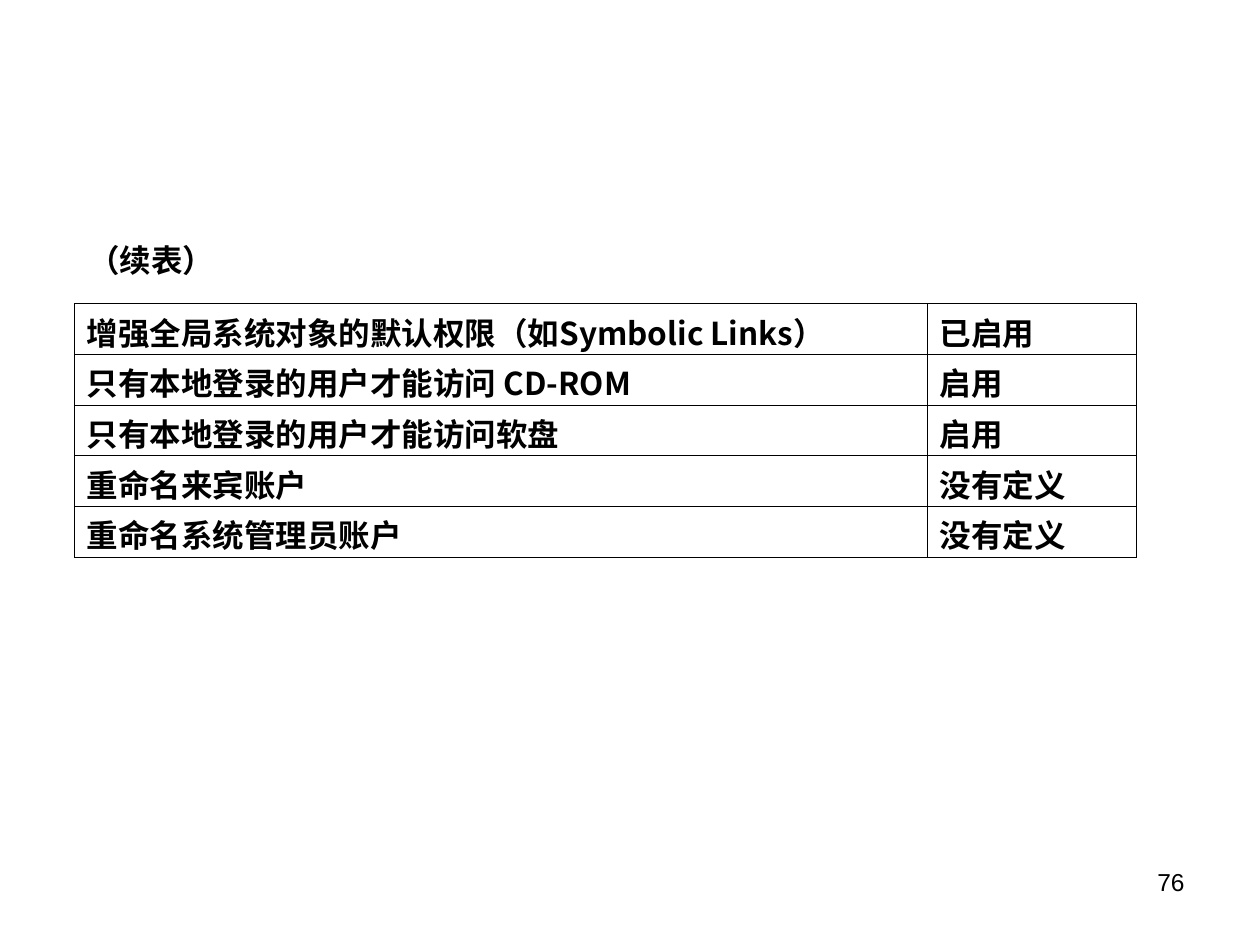
from lxml.etree import SubElement
from pptx import Presentation
from pptx.dml.color import RGBColor
from pptx.enum.text import MSO_ANCHOR, MSO_AUTO_SIZE, PP_ALIGN
from pptx.oxml.ns import qn
from pptx.util import Inches, Pt

BLACK = RGBColor(0x00, 0x00, 0x00)
TABLE_FONT = "Noto Sans CJK SC"
COLUMN_WIDTHS = (6.77, 1.66)
ROW_HEIGHT = 0.4
POLICIES = [
    ("增强全局系统对象的默认权限（如Symbolic Links）", "已启用"),
    ("只有本地登录的用户才能访问 CD-ROM", "启用"),
    ("只有本地登录的用户才能访问软盘", "启用"),
    ("重命名来宾账户", "没有定义"),
    ("重命名系统管理员账户", "没有定义"),
]


def write(frame, text, name, size, bold=False, align=PP_ALIGN.LEFT):
    """Fill a text frame with one paragraph, in Latin and East Asian fonts."""
    paragraph = frame.paragraphs[0]
    paragraph.text = text
    paragraph.alignment = align
    font = paragraph.font
    font.name, font.size, font.bold = name, Pt(size), bold
    font.color.rgb = BLACK
    defaults = paragraph._p.pPr.find(qn("a:defRPr"))
    SubElement(defaults, qn("a:ea"), typeface=name)


def add_borders(cell):
    """Draw a thin black line on all four sides of a cell."""
    properties = cell._tc.get_or_add_tcPr()
    for position, side in enumerate(("a:lnL", "a:lnR", "a:lnT", "a:lnB")):
        line = SubElement(properties, qn(side), w=str(Pt(0.45)))
        fill = SubElement(line, qn("a:solidFill"))
        SubElement(fill, qn("a:srgbClr"), val=str(BLACK))
        properties.insert(position, line)


def add_title(page, text):
    title = page.shapes.title
    title.left, title.top = Inches(0.6), Inches(1.86)
    title.width, title.height = Inches(1.2), Inches(0.4)
    frame = title.text_frame
    frame.word_wrap = False
    frame.auto_size = MSO_AUTO_SIZE.NONE
    frame.vertical_anchor = MSO_ANCHOR.MIDDLE
    # Without a right margin the heading fits on one line
    frame.margin_right = 0
    write(frame, text, "Roboto", 18, bold=True)


def add_policy_table(page):
    table = page.shapes.add_table(
        len(POLICIES), len(COLUMN_WIDTHS), Inches(0.59), Inches(2.41),
        Inches(sum(COLUMN_WIDTHS)), Inches(ROW_HEIGHT * len(POLICIES))).table
    table.first_row = table.horz_banding = False
    for column, width in zip(table.columns, COLUMN_WIDTHS):
        column.width = Inches(width)
    for row, values in zip(table.rows, POLICIES):
        row.height = Inches(ROW_HEIGHT)
        for cell, value in zip(row.cells, values):
            cell.fill.background()
            # Tight margins keep the tall font within the row height
            cell.margin_top, cell.margin_bottom = Inches(0.04), 0
            write(cell.text_frame, value, TABLE_FONT, 18, bold=True)
            add_borders(cell)


def add_page_number(page, number):
    box = page.shapes.add_textbox(
        Inches(7.17), Inches(6.83), Inches(2.33), Inches(0.52))
    box.text_frame.word_wrap = True
    write(box.text_frame, number, "Arial", 14, align=PP_ALIGN.RIGHT)


def main():
    deck = Presentation()
    deck.slide_width, deck.slide_height = Inches(10), Inches(7.5)
    page = deck.slides.add_slide(deck.slide_layouts[5])  # Title Only
    add_title(page, "（续表）")
    add_policy_table(page)
    add_page_number(page, "76")
    deck.save("out.pptx")


if __name__ == "__main__":
    main()
